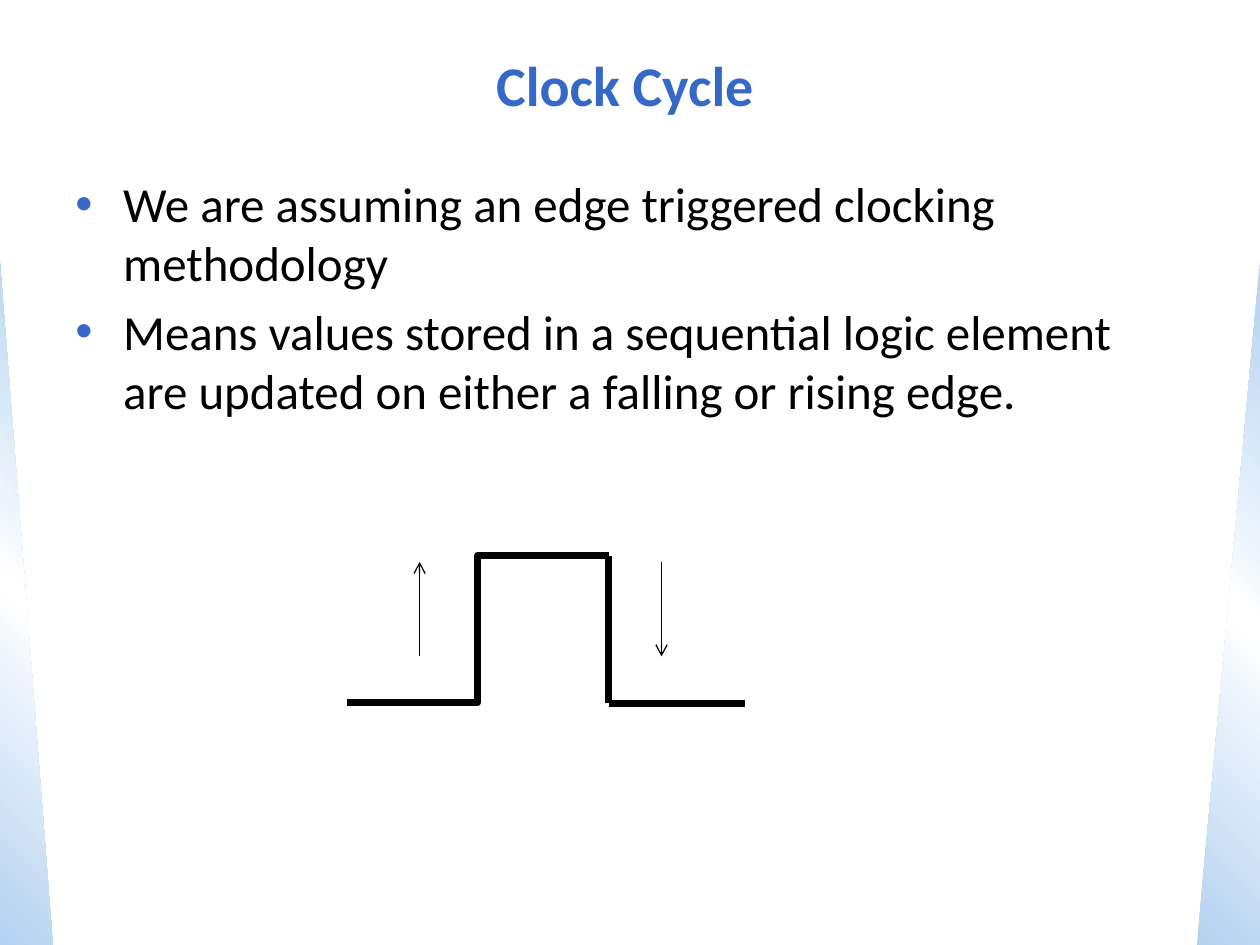
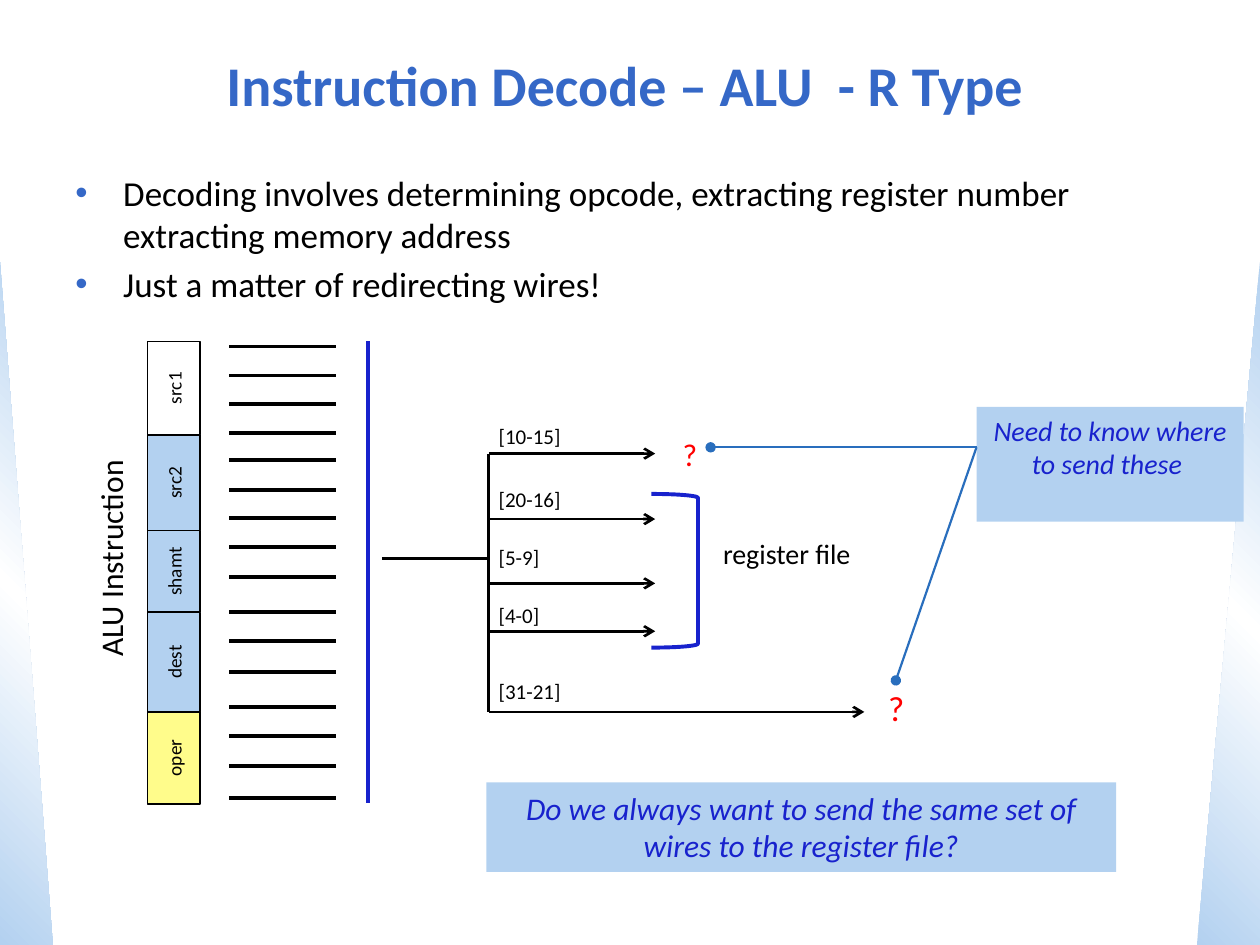
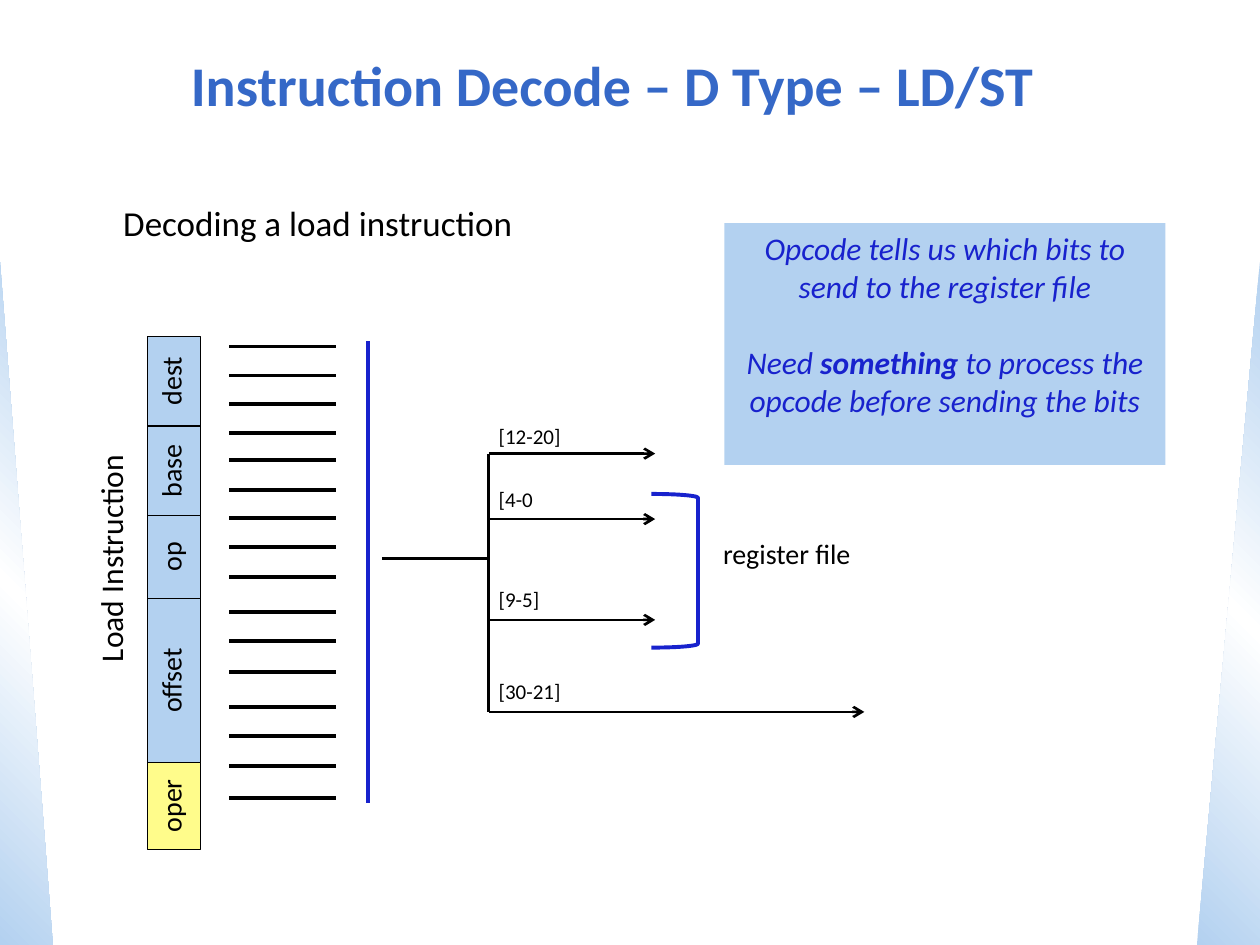
from dataclasses import dataclass

from lxml import etree
from pptx import Presentation
from pptx.dml.color import RGBColor
from pptx.enum.shapes import MSO_CONNECTOR, MSO_SHAPE
from pptx.enum.text import MSO_ANCHOR, MSO_AUTO_SIZE, PP_ALIGN
from pptx.oxml import parse_xml
from pptx.oxml.ns import nsdecls, qn
from pptx.util import Inches, Pt

BLACK = RGBColor(0x00, 0x00, 0x00)
WHITE = RGBColor(0xFF, 0xFF, 0xFF)
RED = RGBColor(0xFF, 0x00, 0x00)
TITLE_BLUE = RGBColor(0x35, 0x68, 0xC7)
DEEP_BLUE = RGBColor(0x18, 0x22, 0xCD)
POINTER_BLUE = RGBColor(0x29, 0x6E, 0xBD)
PALE_BLUE = RGBColor(0xB3, 0xD1, 0xF0)
YELLOW = RGBColor(0xFF, 0xFC, 0x8B)

FONT = "Calibri"
LEFT, CENTER = PP_ALIGN.LEFT, PP_ALIGN.CENTER
TOP, MIDDLE = MSO_ANCHOR.TOP, MSO_ANCHOR.MIDDLE
FIT_TEXT = MSO_AUTO_SIZE.SHAPE_TO_FIT_TEXT
STRAIGHT, ELBOW = MSO_CONNECTOR.STRAIGHT, MSO_CONNECTOR.ELBOW
RECTANGLE = MSO_SHAPE.RECTANGLE
RIGHT_BRACKET = MSO_SHAPE.RIGHT_BRACKET
RIGHT_TRIANGLE = MSO_SHAPE.RIGHT_TRIANGLE

BUS_TOP, BUS_BOTTOM = 2.71, 6.37
TRUNK_X, TRUNK_TOP, TRUNK_BOTTOM = 3.88, 3.6, 5.65
SHORT_END, LONG_END = 5.2, 6.86
FIELD_CENTER, FIELD_DEPTH = 1.38, 0.42
WIRE_YS = [2.75, 2.98, 3.21, 3.44, 3.65, 3.89, 4.11, 4.34,
           4.58, 4.86, 5.09, 5.33, 5.61, 5.84, 6.08, 6.33]


@dataclass
class Line:
    x1: float
    y1: float
    x2: float
    y2: float
    width: float
    color: RGBColor = BLACK
    end: str = ""
    kind: int = STRAIGHT


@dataclass
class Label:
    text: str
    left: float
    top: float
    width: float
    size: float
    color: RGBColor = BLACK
    rotation: float = 0


@dataclass
class Field:
    text: str
    length: float
    fill: RGBColor | None = PALE_BLUE


@dataclass
class FieldStyle:
    top: float
    size: float
    border: float
    anchor: int


@dataclass
class Branch:
    bits: str
    label_top: float
    label_width: float
    y: float
    end: float = SHORT_END


@dataclass
class Note:
    paragraphs: list[str]
    left: float
    top: float
    width: float
    height: float
    size: float
    bold_word: str = ""


def style(p, size: float, color: RGBColor, align=LEFT, bold=False, italic=False) -> None:
    p.alignment = align
    p.font.name = FONT
    p.font.size = Pt(size)
    p.font.color.rgb = color
    p.font.bold = bold
    p.font.italic = italic


def add_corner(slide, left: float, width: float, angle: int, flip: bool) -> None:
    sp = slide.shapes.add_shape(RIGHT_TRIANGLE, Inches(left), Inches(2.08),
                                Inches(width), Inches(5.42))
    sp.shadow.inherit = False
    sp.line.fill.background()
    stops = "".join(f'<a:gs pos="{pos}"><a:srgbClr val="{color}"/></a:gs>'
                    for pos, color in ((0, PALE_BLUE), (50000, WHITE), (100000, PALE_BLUE)))
    gradient = parse_xml(f'<a:gradFill {nsdecls("a")} rotWithShape="1"><a:gsLst>{stops}</a:gsLst>'
                         f'<a:lin ang="{angle * 60000}" scaled="0"/></a:gradFill>')
    props = sp._element.spPr
    props.find(qn("a:prstGeom")).addnext(gradient)
    if flip:
        props.find(qn("a:xfrm")).set("flipH", "1")


def add_slide(prs, title: str):
    slide = prs.slides.add_slide(prs.slide_layouts[6])
    add_corner(slide, 0, 0.42, 315, False)
    add_corner(slide, 9.5, 0.5, 45, True)
    sp = slide.shapes.add_textbox(Inches(0.25), Inches(0.25), Inches(9.42), Inches(0.83))
    tf = sp.text_frame
    tf.word_wrap = True
    tf.vertical_anchor = MIDDLE
    tf.text = title
    style(tf.paragraphs[0], 32, TITLE_BLUE, CENTER, bold=True)
    return slide


def add_bullets(slide, top: float, size: float, texts: list[str]) -> None:
    sp = slide.shapes.add_textbox(Inches(0.5), Inches(top), Inches(9), Inches(5.58))
    tf = sp.text_frame
    tf.word_wrap = True
    tf.text = "\n".join(texts)
    for p in tf.paragraphs:
        style(p, size, BLACK)
        p.space_before = Pt(size * 0.2)
        props = p._p.get_or_add_pPr()
        props.set("marL", str(Inches(0.38)))
        props.set("indent", str(Inches(-0.38)))
        default = props.find(qn("a:defRPr"))
        for bullet in (f'<a:buClr {nsdecls("a")}><a:srgbClr val="{TITLE_BLUE}"/></a:buClr>',
                       f'<a:buFont {nsdecls("a")} typeface="Arial"/>',
                       f'<a:buChar {nsdecls("a")} char="•"/>'):
            default.addprevious(parse_xml(bullet))


def add_line(slide, line: Line) -> None:
    cxn = slide.shapes.add_connector(line.kind, Inches(line.x1), Inches(line.y1),
                                     Inches(line.x2), Inches(line.y2))
    cxn.line.width = Pt(line.width)
    cxn.line.color.rgb = line.color
    if line.end:
        etree.SubElement(cxn.line._get_or_add_ln(), qn("a:tailEnd"), type=line.end)
    etree.SubElement(cxn._element.spPr, qn("a:effectLst"))


def add_label(slide, label: Label) -> None:
    height = label.size * 1.22 / 72 + 0.1
    sp = slide.shapes.add_textbox(Inches(label.left), Inches(label.top),
                                  Inches(label.width), Inches(height))
    sp.rotation = label.rotation
    tf = sp.text_frame
    tf.word_wrap = False
    tf.auto_size = FIT_TEXT
    tf.text = label.text
    style(tf.paragraphs[0], label.size, label.color)


def add_fields(slide, fields: list[Field], look: FieldStyle) -> None:
    top = look.top
    for field in fields:
        center = top + field.length / 2
        sp = slide.shapes.add_shape(RECTANGLE, Inches(FIELD_CENTER - field.length / 2),
                                    Inches(center - FIELD_DEPTH / 2),
                                    Inches(field.length), Inches(FIELD_DEPTH))
        sp.rotation = 270
        sp.shadow.inherit = False
        if field.fill is None:
            sp.fill.background()
        else:
            sp.fill.solid()
            sp.fill.fore_color.rgb = field.fill
        sp.line.color.rgb = BLACK
        sp.line.width = Pt(look.border)
        tf = sp.text_frame
        tf.vertical_anchor = look.anchor
        tf.text = field.text
        style(tf.paragraphs[0], look.size, BLACK, CENTER)
        top += field.length


def add_note(slide, note: Note) -> None:
    sp = slide.shapes.add_shape(RECTANGLE, Inches(note.left), Inches(note.top),
                                Inches(note.width), Inches(note.height))
    sp.shadow.inherit = False
    sp.fill.solid()
    sp.fill.fore_color.rgb = PALE_BLUE
    sp.line.fill.background()
    tf = sp.text_frame
    tf.word_wrap = True
    tf.vertical_anchor = TOP
    for i, text in enumerate(note.paragraphs):
        p = tf.add_paragraph() if i else tf.paragraphs[0]
        style(p, note.size, DEEP_BLUE, CENTER, italic=True)
        if i:
            p.space_before = Pt(note.size * 1.22)
        if note.bold_word and note.bold_word in text:
            before, after = text.split(note.bold_word)
            for part in (before, note.bold_word, after):
                r = p.add_run()
                r.text = part
                r.font.bold = part == note.bold_word
        else:
            p.add_run().text = text


def add_decoder(slide, branches: list[Branch]) -> None:
    add_line(slide, Line(2.92, BUS_TOP, 2.92, BUS_BOTTOM, 2.25, DEEP_BLUE))
    for y in WIRE_YS:
        add_line(slide, Line(1.82, y, 2.67, y, 2.25))
    add_line(slide, Line(3.03, 4.43, TRUNK_X, 4.43, 1.75))
    add_line(slide, Line(TRUNK_X, TRUNK_TOP, TRUNK_X, TRUNK_BOTTOM, 1.75))
    for b in branches:
        add_line(slide, Line(TRUNK_X, b.y, b.end, b.y, 1.5, end="arrow"))
        add_label(slide, Label(b.bits, 3.86, b.label_top, b.label_width, 12))
    add_label(slide, Label("register file", 5.64, 4.21, 1.26, 16))
    sp = slide.shapes.add_shape(RIGHT_BRACKET, Inches(5.17), Inches(3.92),
                                Inches(0.37), Inches(1.22))
    sp.adjustments[0] = 0.083
    sp.shadow.inherit = False
    sp.fill.background()
    sp.line.color.rgb = DEEP_BLUE
    sp.line.width = Pt(2.25)


def build_clock_cycle(prs) -> None:
    slide = add_slide(prs, "Clock Cycle")
    add_bullets(slide, 1.33, 28, [
        "We are assuming an edge triggered clocking methodology",
        "Means values stored in a sequential logic element are updated "
        "on either a falling or rising edge.",
    ])
    for line in (
        Line(2.75, 5.58, 4.83, 4.41, 4, kind=ELBOW),
        Line(4.83, 4.41, 4.83, 5.58, 4),
        Line(5.91, 5.58, 4.83, 5.58, 4),
        Line(3.33, 5.21, 3.33, 4.46, 0.75, end="arrow"),
        Line(5.25, 4.46, 5.25, 5.21, 0.75, end="arrow"),
    ):
        add_line(slide, line)


def build_alu_decode(prs) -> None:
    slide = add_slide(prs, "Instruction Decode – ALU  - R Type")
    add_bullets(slide, 1.31, 20, [
        "Decoding involves determining opcode, extracting register number "
        "extracting memory address",
        "Just a matter of redirecting wires!",
    ])
    add_note(slide, Note(["Need to know where to send these "], 7.75, 3.23, 2.12, 0.91, 16))
    for x, y in ((5.64, 3.55), (7.11, 5.4)):
        add_line(slide, Line(7.75, 3.55, x, y, 1.25, POINTER_BLUE, "oval"))
    add_decoder(slide, [
        Branch("[10-15]", 3.31, 0.73, TRUNK_TOP),
        Branch("[20-16]", 3.81, 0.73, 4.12),
        Branch("[5-9]", 4.27, 0.54, 4.63),
        Branch("[4-0]", 4.73, 0.54, 5.01),
        Branch("[31-21]", 5.34, 0.73, TRUNK_BOTTOM, LONG_END),
    ])
    add_label(slide, Label("?", 6.95, 5.4, 0.33, 20, RED))
    add_label(slide, Label("?", 5.32, 3.4, 0.32, 18, RED))
    add_fields(slide, [
        Field("src1", 0.74, None),
        Field("src2", 0.76),
        Field("shamt", 0.65),
        Field("dest", 0.79),
        Field("oper", 0.73, YELLOW),
    ], FieldStyle(BUS_TOP, 11, 1, MIDDLE))
    add_label(slide, Label("ALU Instruction", -0.01, 4.22, 1.78, 18, rotation=270))
    add_note(slide, Note(["Do we always want to send the same set of wires to the register file?"],
                         3.86, 6.21, 5, 0.71, 18))


def build_load_decode(prs) -> None:
    slide = add_slide(prs, "Instruction Decode – D Type – LD/ST  ")
    add_decoder(slide, [
        Branch("[12-20]", 3.31, 0.73, TRUNK_TOP),
        Branch("[4-0", 3.81, 0.49, 4.12),
        Branch("[9-5]", 4.61, 0.54, 4.92),
        Branch("[30-21]", 5.34, 0.73, TRUNK_BOTTOM, LONG_END),
    ])
    add_fields(slide, [
        Field("dest", 0.71),
        Field("base", 0.71),
        Field("op", 0.66),
        Field("offset", 1.3),
        Field("oper", 0.69, YELLOW),
    ], FieldStyle(2.67, 16, 0.75, TOP))
    add_label(slide, Label("Load Instruction", -0.05, 4.22, 1.86, 18, rotation=270))
    add_note(slide, Note([
        "Opcode tells us which bits to send to the register file",
        "Need something to process the opcode before sending the bits",
    ], 5.75, 1.77, 3.5, 1.92, 18, "something "))
    add_label(slide, Label("Decoding a load instruction", 0.88, 1.55, 3.57, 20))


def main() -> None:
    prs = Presentation()
    prs.slide_width = Inches(10)
    prs.slide_height = Inches(7.5)
    build_clock_cycle(prs)
    build_alu_decode(prs)
    build_load_decode(prs)
    prs.save("out.pptx")


if __name__ == "__main__":
    main()
